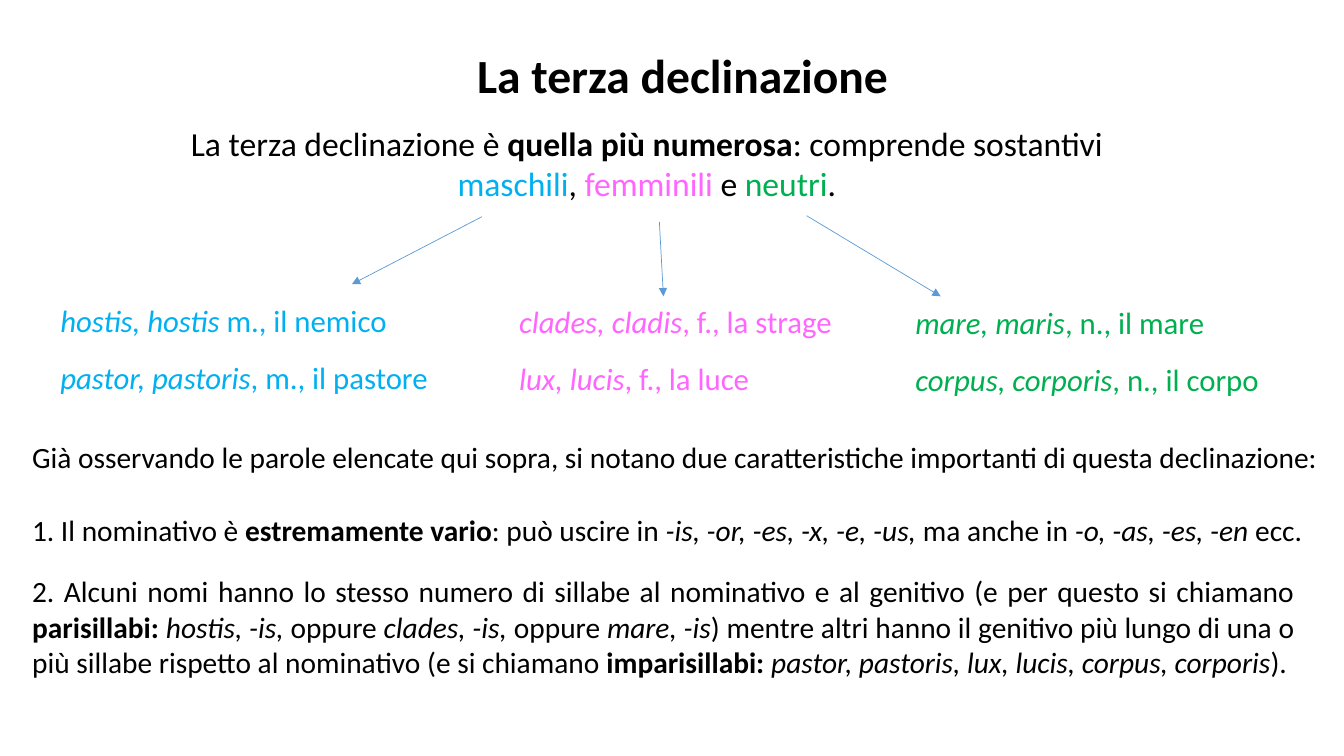
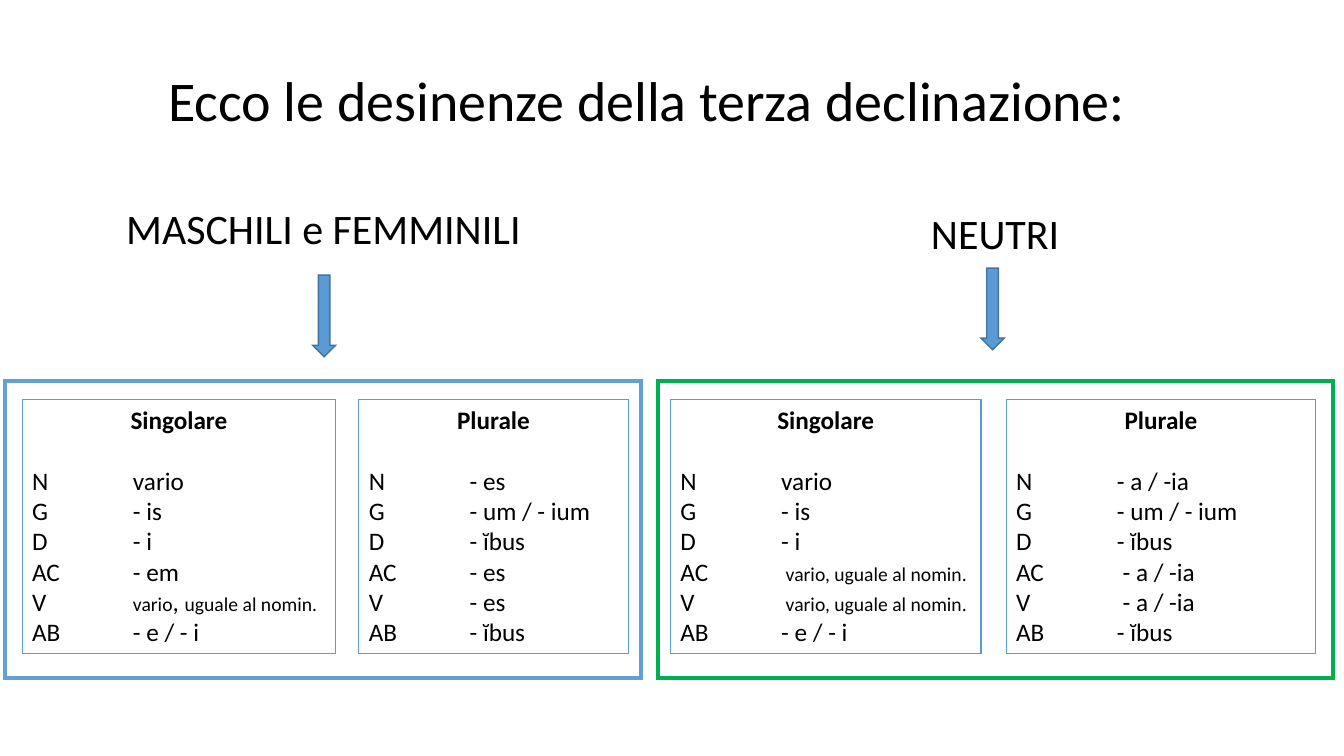
import pptx
import pptx.dml.color
import pptx.enum.shapes
import pptx.enum.text
import pptx.oxml
import pptx.oxml.ns
import pptx.util
import lxml.etree

PX = 9144  # EMU per px, 100 px to the inch
FONT = "Calibri"
COLORS = {
    "black": "000000", "cyan": "00B0F0", "pink": "FF66FF", "green": "00B050",
    "blue": "5B9BD5", "frame": "63A0D7", "edge": "43739E",
}
SPAN_STYLES = {
    "bold": {"bold": True},
    "italic": {"italic": True},
    "small": {"size": pptx.util.Pt(14)},
}
ALIGN = pptx.enum.text.PP_ALIGN
SHAPE = pptx.enum.shapes.MSO_SHAPE

# A paragraph is a list of spans: plain text, or (text, style or colour).
INTRO = [
    ["La terza declinazione è ", ("quella più numerosa", "bold"), ": comprende sostantivi"],
    [("maschili", "cyan"), ", ", ("femminili", "pink"), " e ", ("neutri", "green"), "."],
]
EXAMPLES = [
    {"color": "cyan", "at": (50, 294), "arrow": (478, 215, 349, 282),
     "nouns": [("hostis, hostis", " m., il nemico"), ("pastor, pastoris", ", m., il pastore")]},
    {"color": "pink", "at": (505, 295), "arrow": (654, 220, 658, 294),
     "nouns": [("clades, cladis", ", f., la strage"), ("lux, lucis", ", f., la luce")]},
    {"color": "green", "at": (898, 296), "arrow": (800, 214, 933, 294),
     "nouns": [("mare, maris", ", n., il mare"), ("corpus, corporis", ", n., il corpo")]},
]
REMARKS = [
    {"at": (22, 431, 1303, 113), "align": ALIGN.LEFT, "spans": [
        "Già osservando le parole elencate qui sopra, si notano due caratteristiche "
        "importanti di questa declinazione:"]},
    {"at": (22, 503, 1303, 82), "align": ALIGN.LEFT, "spans": [
        "1. Il nominativo è ", ("estremamente vario", "bold"), ": può uscire in ",
        ("-is, -or, -es, -x, -e, -us, ", "italic"), "ma anche in ",
        ("-o, -as, -es, -en ", "italic"), "ecc."]},
    {"at": (22, 564, 1272, 146), "align": ALIGN.JUSTIFY, "spans": [
        "2. Alcuni nomi hanno lo stesso numero di sillabe al nominativo e al genitivo "
        "(e per questo si chiamano ", ("parisillabi: ", "bold"),
        ("hostis, -is, ", "italic"), "oppure ", ("clades, -is, ", "italic"), "oppure",
        (" mare, -is", "italic"),
        ") mentre altri hanno il genitivo più lungo di una o più sillabe rispetto al "
        "nominativo (e si chiamano ", ("imparisillabi: ", "bold"),
        ("pastor, pastoris, lux, lucis, corpus, corporis", "italic"), ")."]},
]

CASES = ["N", "G", "D", "AC", "V", "AB"]
LIKE_NOMINATIVE = [(" vario, uguale al nomin.", "small")]
ENDING_TAB = 100
PANEL_TOP, PANEL_HEIGHT = 396, 252
FRAME_TOP, FRAME_HEIGHT = 378, 295
GENDERS = [
    {"heading": "MASCHILI e FEMMINILI", "heading_at": (112, 196, 418, 61),
     "arrow_at": (310, 273), "frame": (5, 631, "frame"),
     "panels": [
         ("Singolare", 22, 311, [
             ["vario"], ["- is"], ["- i"], ["- em"],
             [("vario", "small"), ", ", ("uguale al nomin.", "small")], ["- e / - i"]]),
         ("Plurale", 356, 267, [
             ["- es"], ["- um / - ium"], ["- ĭbus"], ["- es"], ["- es"], ["- ĭbus"]]),
     ]},
    {"heading": "NEUTRI", "heading_at": (813, 201, 348, 61),
     "arrow_at": (973, 266), "frame": (653, 669, "green"),
     "panels": [
         ("Singolare", 665, 308, [
             ["vario"], ["- is"], ["- i"], LIKE_NOMINATIVE, LIKE_NOMINATIVE, ["- e / - i"]]),
         ("Plurale", 998, 307, [
             ["- a / -ia"], ["- um / - ium"], ["- ĭbus"], [" - a / -ia"], [" - a / -ia"],
             ["- ĭbus"]]),
     ]},
]


def rgb(name):
    return pptx.dml.color.RGBColor.from_string(COLORS[name])


def scaled(*lengths):
    return [length * PX for length in lengths]


def add_element(parent, tag, **values):
    return lxml.etree.SubElement(parent, pptx.oxml.ns.qn(tag), **values)


def write(box, paragraphs, size, color="black", align=ALIGN.LEFT, gap=0):
    """Fill the box; gap is the space in points after its first paragraph."""
    frame = box.text_frame
    frame.word_wrap = True
    frame.vertical_anchor = pptx.enum.text.MSO_ANCHOR.TOP
    for index, spans in enumerate(paragraphs):
        para = frame.paragraphs[0] if index == 0 else frame.add_paragraph()
        para.alignment = align
        if index == 0 and gap:
            para.space_after = pptx.util.Pt(gap)
        for item in spans:
            text, style = (item, None) if isinstance(item, str) else item
            span = para.add_run()
            span.text = text
            span.font.color.rgb = rgb(style if style in COLORS else color)
            values = {"name": FONT, "size": pptx.util.Pt(size), **SPAN_STYLES.get(style, {})}
            for name, value in values.items():
                setattr(span.font, name, value)


def add_text(page, at, paragraphs, size, **options):
    box = page.shapes.add_textbox(*scaled(*at))
    write(box, paragraphs, size, **options)


def add_title(page, at, span, size):
    add_text(page, at, [[span]], size, align=ALIGN.CENTER)


def add_box(page, at, line, width, kind=SHAPE.RECTANGLE, fill=None):
    box = page.shapes.add_shape(kind, *scaled(*at))
    box.shadow.inherit = False
    if fill:
        box.fill.solid()
        box.fill.fore_color.rgb = rgb(fill)
    else:
        box.fill.background()
    box.line.color.rgb = rgb(line)
    box.line.width = pptx.util.Pt(width)
    add_element(box.line._get_or_add_ln(), "a:miter", lim="800000")
    return box


def add_arrow(page, ends):
    straight = pptx.enum.shapes.MSO_CONNECTOR.STRAIGHT
    arrow = page.shapes.add_connector(straight, *scaled(*ends))
    arrow.line.color.rgb = rgb("blue")
    arrow.line.width = pptx.util.Pt(0.5)
    add_element(arrow.line._get_or_add_ln(), "a:tailEnd", type="triangle")
    add_element(arrow._element.spPr, "a:effectLst")


def add_panel(page, left, width, number, endings):
    """Frame one number's endings, with the cases in front of a tab stop."""
    panel = add_box(page, (left, PANEL_TOP, width, PANEL_HEIGHT), "blue", 0.75)
    rows = [[case + "\t", *ending] for case, ending in zip(CASES, endings)]
    write(panel, [[(number, "bold")], *rows], 18, gap=22)
    heading, *lines = panel.text_frame.paragraphs
    heading.alignment = ALIGN.CENTER
    for line in lines:
        stops = add_element(line._p.get_or_add_pPr(), "a:tabLst")
        add_element(stops, "a:tab", pos=str(ENDING_TAB * PX), algn="l")


def build_overview(page):
    add_title(page, (251, 41, 852, 67), ("La terza declinazione", "bold"), 34)
    add_text(page, (22, 117, 1239, 91), INTRO, 24, align=ALIGN.CENTER)
    for example in EXAMPLES:
        add_arrow(page, example["arrow"])
        nouns = [[(noun, "italic"), meaning] for noun, meaning in example["nouns"]]
        add_text(page, (*example["at"], 392, 104), nouns, 22, color=example["color"], gap=14.6)
    for remark in REMARKS:
        add_text(page, remark["at"], [remark["spans"]], 21, align=remark["align"])


def build_endings(page):
    add_title(page, (22, 60, 1239, 111), "Ecco le desinenze della terza declinazione:", 40)
    for gender in GENDERS:
        add_title(page, gender["heading_at"], gender["heading"], 30)
        for number, left, width, endings in gender["panels"]:
            add_panel(page, left, width, number, endings)
        left, width, color = gender["frame"]
        add_box(page, (left, FRAME_TOP, width, FRAME_HEIGHT), color, 3)
        add_box(page, (*gender["arrow_at"], 23, 81), "edge", 1, SHAPE.DOWN_ARROW, "blue")


def main():
    deck = pptx.Presentation()
    deck.slide_width, deck.slide_height = scaled(1333, 750)
    for build in (build_overview, build_endings):
        build(deck.slides.add_slide(deck.slide_layouts[6]))
    deck.save("out.pptx")


if __name__ == "__main__":
    main()
